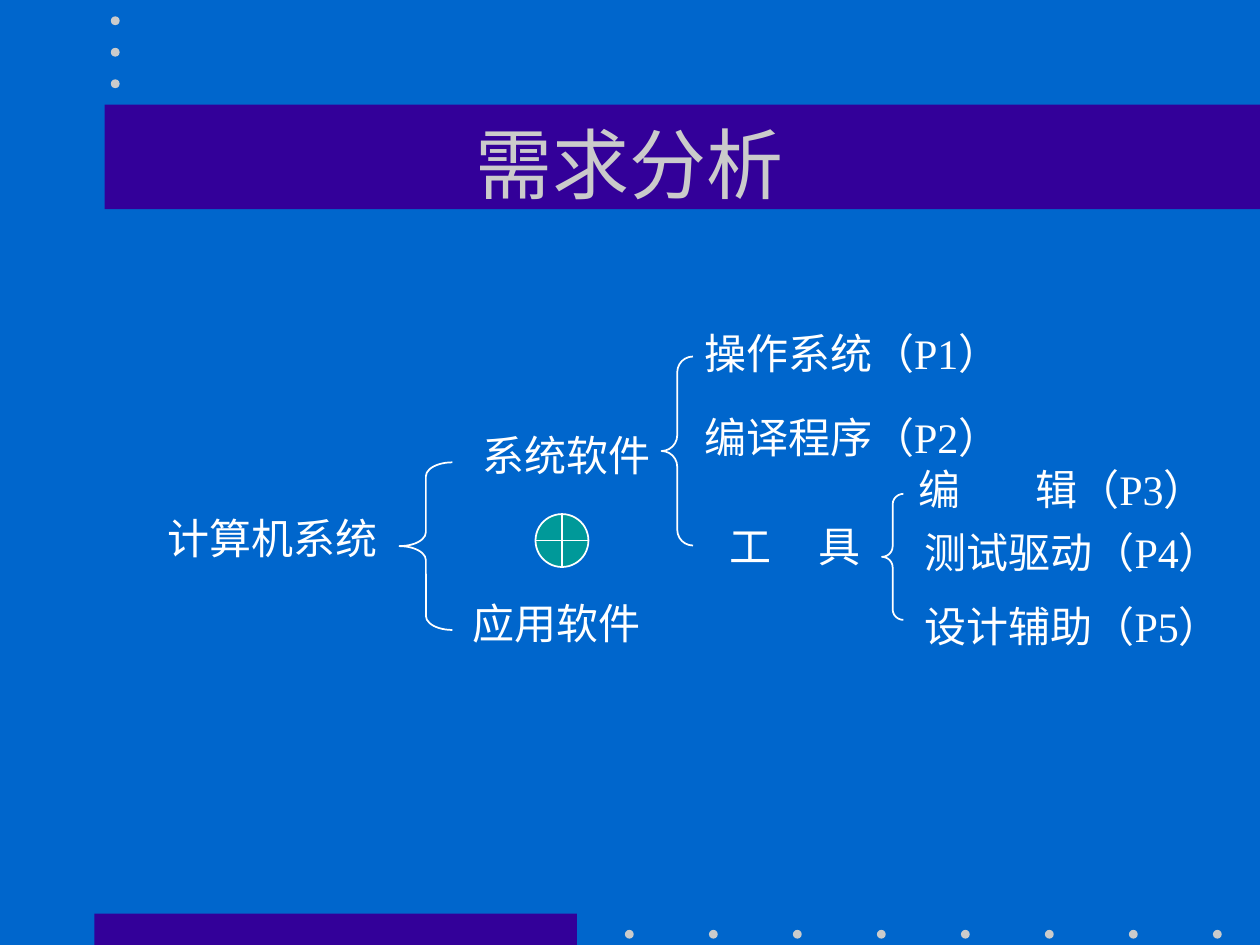
from pptx import Presentation
from pptx.dml.color import RGBColor
from pptx.enum import shapes, text
from pptx.util import Inches, Pt

FONT = "Times New Roman"
BLUE, PURPLE, GREY, TEAL, WHITE = "0066CC", "330099", "CBCBCB", "009999", "FFFFFF"

TITLE = "需求分析"
BANDS = [(0.75, 7.25, 3.83, 0.25), (0.83, 0.83, 9.17, 0.83)]
DOT = 0.07
DOTS = [(4.96 + i * 2 / 3, 7.38) for i in range(8)]
DOTS += [(0.88, 0.13 + i * 0.25) for i in range(3)]

# wording, left, top, width, extra points added to the space inside a label
LABELS = [
    ("计算机系统", 1.23, 4.02, 1.9, 0),
    ("系统软件", 3.73, 3.36, 1.55, 0),
    ("应用软件", 3.65, 4.69, 1.55, 0),
    ("操作系统（P1）", 5.49, 2.55, 2.71, 0),
    ("编译程序（P2）", 5.49, 3.22, 2.71, 0),
    ("工 具", 5.69, 4.08, 1.26, 21.5),
    ("编 辑（P3）", 7.19, 3.63, 2.78, 37.5),
    ("测试驱动（P4）", 7.24, 4.13, 2.71, 0),
    ("设计辅助（P5）", 7.24, 4.72, 2.71, 0),
]
BRACES = [(3.17, 3.67, 0.42, 1.33), (5.25, 2.83, 0.25, 1.5), (7, 3.92, 0.17, 1)]
OR_SIGN = (4.25, 4.08, 0.42, 0.42)


def colour(value):
    return RGBColor.from_string(value)


def add_shape(page, kind, place, fill=None, line=None):
    shape = page.shapes.add_shape(kind, *map(Inches, place))
    shape.shadow.inherit = False
    if fill:
        shape.fill.solid()
        shape.fill.fore_color.rgb = colour(fill)
    else:
        shape.fill.background()
    if line:
        shape.line.color.rgb = colour(line)
        shape.line.width = Pt(1)
    else:
        shape.line.fill.background()
    return shape


def format_run(span, size, value):
    span.font.name = FONT
    span.font.size = Pt(size)
    span.font.color.rgb = colour(value)


def add_title(page):
    title = page.shapes.title
    title.left, title.top, title.width, title.height = map(Inches, (0.75, 0.67, 8.5, 1.25))
    title.text_frame.text = TITLE
    title.text_frame.vertical_anchor = text.MSO_ANCHOR.MIDDLE
    para = title.text_frame.paragraphs[0]
    para.alignment = text.PP_ALIGN.CENTER
    format_run(para.runs[0], 44, GREY)
    page.shapes.element.append(title.element)  # in front of the band


def add_label(page, wording, left, top, width, gap):
    """Add a one-line label; gap widens the space between its words."""
    box = page.shapes.add_textbox(*map(Inches, (left, top, width, 0.5)))
    box.text_frame.word_wrap = False
    box.text_frame.auto_size = text.MSO_AUTO_SIZE.SHAPE_TO_FIT_TEXT
    para = box.text_frame.paragraphs[0]
    for part in filter(None, wording.partition(" ")):
        span = para.add_run()
        span.text = part
        format_run(span, 24, WHITE)
        if part == " ":
            span.font._element.set("spc", str(int(gap * 100)))


def main():
    deck = Presentation()
    deck.slide_width, deck.slide_height = Inches(10), Inches(7.5)
    page = deck.slides.add_slide(deck.slide_layouts[5])
    page.background.fill.solid()
    page.background.fill.fore_color.rgb = colour(BLUE)

    kinds = shapes.MSO_SHAPE
    for band in BANDS:
        add_shape(page, kinds.RECTANGLE, band, PURPLE)
    for left, top in DOTS:
        add_shape(page, kinds.OVAL, (left, top, DOT, DOT), GREY)
    add_title(page)

    for label in LABELS:
        add_label(page, *label)
    for place in BRACES:
        brace = add_shape(page, kinds.LEFT_BRACE, place, line=WHITE)
        width, height = place[2:]
        brace.adjustments[0] = height / 12 / width  # curls are a twelfth of the height
    add_shape(page, kinds.FLOWCHART_OR, OR_SIGN, TEAL, WHITE)

    deck.save("out.pptx")


if __name__ == "__main__":
    main()
